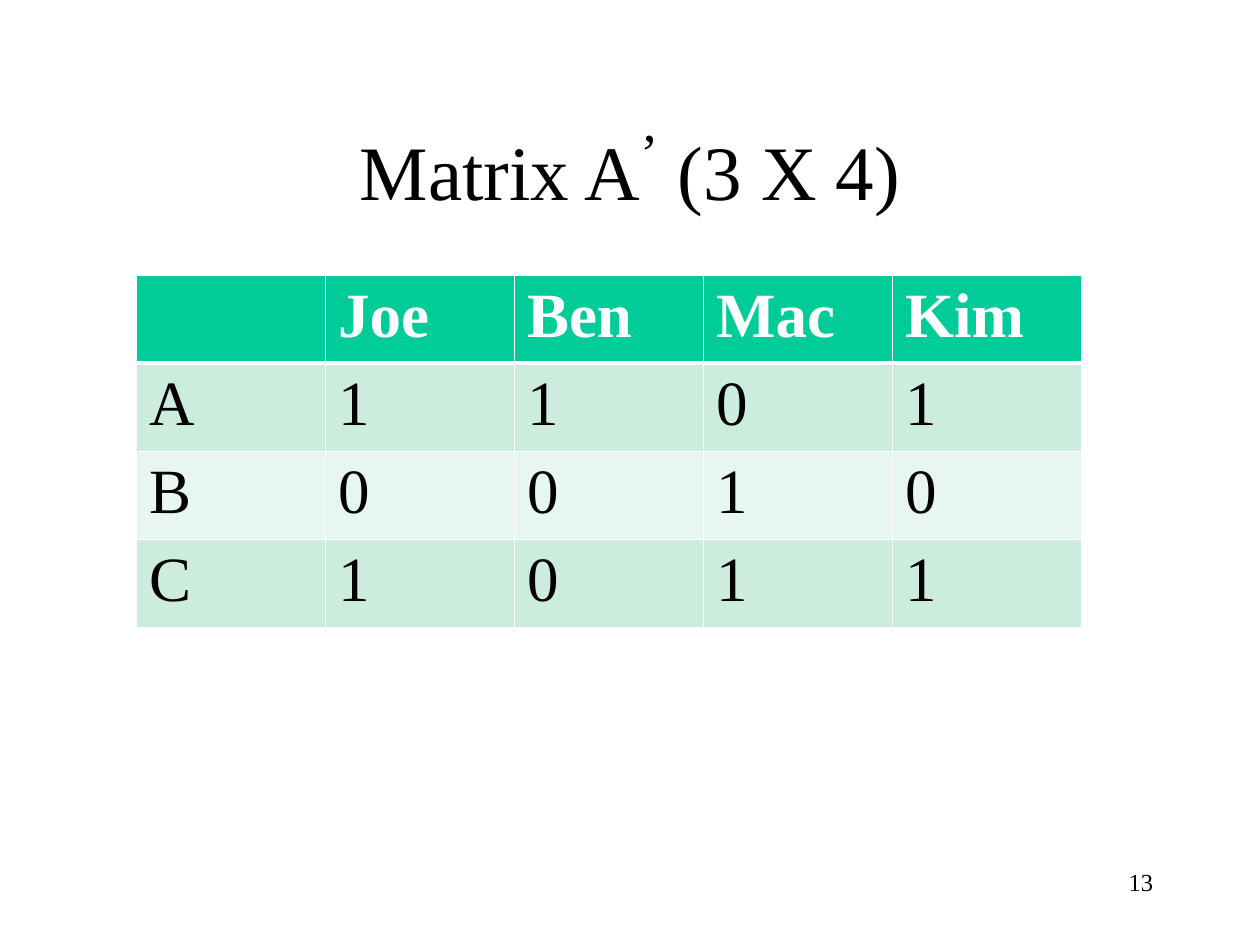
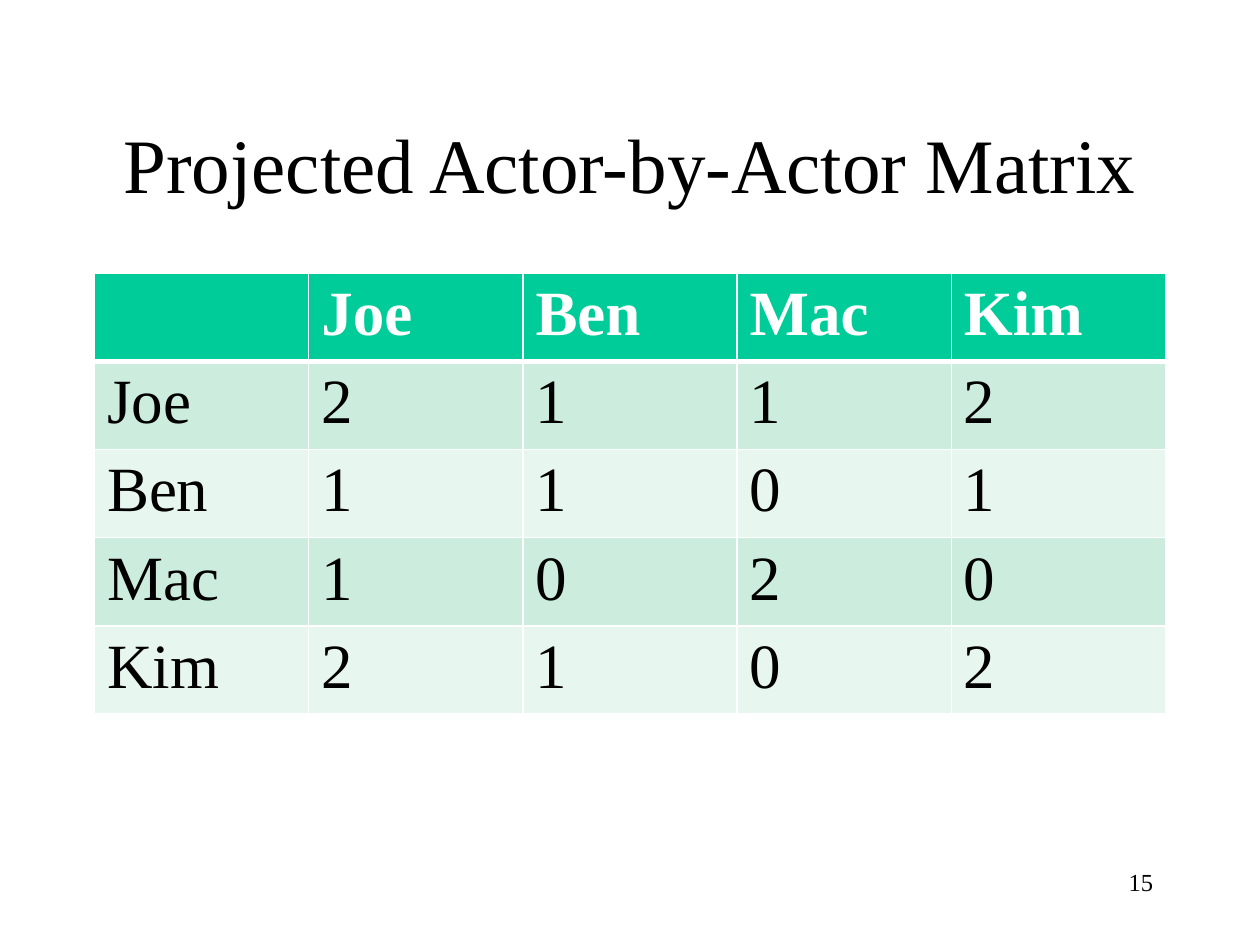
from lxml import etree
from pptx import Presentation
from pptx import util as u
from pptx.dml.color import RGBColor
from pptx.enum import text
from pptx.oxml import ns

FONT = "Times New Roman"
COLORS = {
    "text": "000000",
    "header_text": "FFFFFF",
    "border": "FFFFFF",
    "header": "00CC99",
    "odd_row": "CCECDE",
    "even_row": "E7F6EF",
}
NAMES = ["Joe", "Ben", "Mac", "Kim"]

# Title runs are (words, size, baseline in percent).
MATRICES = [
    {
        "title": [("Matrix A", 44, 0), ("’", 54, 30), (" (3 X 4)", 44, 0)],
        "left": 78, "top": 157, "column_width": 108, "row_height": 44.8,
        "rows": {"A": [1, 1, 0, 1], "B": [0, 0, 1, 0], "C": [1, 0, 1, 1]},
        "number": 13,
    },
    {
        "title": [("Projected Actor-by-Actor Matrix", 44, 0)],
        "left": 54, "top": 156, "column_width": 122.4, "row_height": 29.2,
        "rows": {"Joe": [2, 1, 1, 2], "Ben": [1, 1, 0, 1],
                 "Mac": [1, 0, 2, 0], "Kim": [2, 1, 0, 2]},
        "number": 15,
    },
]


def add_run(paragraph, words, size, color="text", bold=False):
    run = paragraph.add_run()
    run.text = words
    run.font.name = FONT
    run.font.size = u.Pt(size)
    run.font.bold = bold
    run.font.color.rgb = RGBColor.from_string(COLORS[color])
    return run


def add_borders(cell, top, bottom):
    """Draw all four cell borders; top and bottom are widths in points."""
    properties = cell._tc.get_or_add_tcPr()
    for side, width in (("L", 1), ("R", 1), ("T", top), ("B", bottom)):
        line = etree.SubElement(properties, ns.qn(f"a:ln{side}"), w=str(u.Pt(width)))
        fill = etree.SubElement(line, ns.qn("a:solidFill"))
        etree.SubElement(fill, ns.qn("a:srgbClr"), val=COLORS["border"])


presentation = Presentation()
presentation.slide_width = u.Pt(720)
presentation.slide_height = u.Pt(540)

for matrix in MATRICES:
    slide = presentation.slides.add_slide(presentation.slide_layouts[6])

    # Title
    title = slide.shapes.add_textbox(u.Pt(54), u.Pt(48), u.Pt(612), u.Pt(90))
    title.text_frame.word_wrap = True
    title.text_frame.vertical_anchor = text.MSO_ANCHOR.MIDDLE
    paragraph = title.text_frame.paragraphs[0]
    paragraph.alignment = text.PP_ALIGN.CENTER
    for words, size, baseline in matrix["title"]:
        run = add_run(paragraph, words, size)
        if baseline:
            run._r.get_or_add_rPr().set("baseline", str(baseline * 1000))

    # Matrix table
    rows = [["", *NAMES]] + [[name, *values] for name, values in matrix["rows"].items()]
    columns = len(rows[0])
    table = slide.shapes.add_table(
        len(rows), columns, u.Pt(matrix["left"]), u.Pt(matrix["top"]),
        u.Pt(matrix["column_width"] * columns), u.Pt(matrix["row_height"] * len(rows)),
    ).table
    for row_index, row in enumerate(rows):
        is_header = row_index == 0
        if is_header:
            fill_color = "header"
        else:
            fill_color = "odd_row" if row_index % 2 else "even_row"
        for column_index, value in enumerate(row):
            cell = table.cell(row_index, column_index)
            add_borders(cell, top=3 if row_index == 1 else 1, bottom=3 if is_header else 1)
            cell.fill.solid()
            cell.fill.fore_color.rgb = RGBColor.from_string(COLORS[fill_color])
            if value != "":
                add_run(cell.text_frame.paragraphs[0], str(value), 36,
                        "header_text" if is_header else "text", is_header)

    # Page number
    number = slide.shapes.add_textbox(u.Pt(516), u.Pt(492), u.Pt(150), u.Pt(36))
    number.text_frame.word_wrap = True
    paragraph = number.text_frame.paragraphs[0]
    paragraph.alignment = text.PP_ALIGN.RIGHT
    add_run(paragraph, str(matrix["number"]), 14)

presentation.save("out.pptx")
